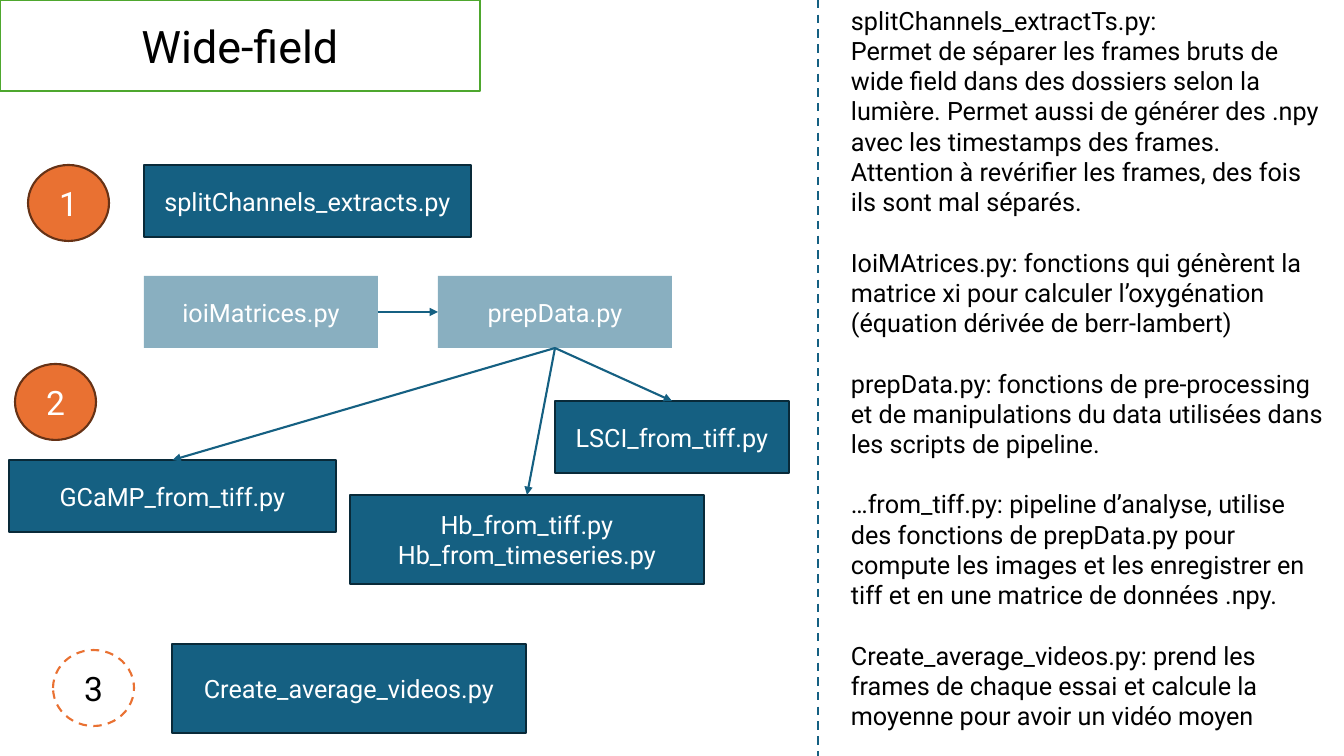
from lxml.etree import SubElement
from pptx import Presentation
from pptx.dml.color import RGBColor
from pptx.enum.dml import MSO_LINE
from pptx.enum.shapes import MSO_CONNECTOR, MSO_SHAPE
from pptx.enum.text import MSO_ANCHOR, PP_ALIGN
from pptx.oxml.ns import qn
from pptx.util import Pt

PX = 914400 / 100.8
SLIDE_W, SLIDE_H = 1344, 756
FONT = "Roboto"
COLORS = {
    "blue": "156082", "navy": "092A39", "orange": "E97132", "brown": "663216",
    "green": "4EA72E", "white": "FFFFFF", "black": "000000",
}

TITLE = ("Wide-field", (0, 0, 480, 91))

# text, (left, top, width, height)
MODULES = [
    ("prepData.py", (438, 276, 234, 72)),
    ("ioiMatrices.py", (144, 276, 234, 72)),
]
SCRIPTS = [
    ("LSCI_from_tiff.py", (555, 401, 234, 72)),
    ("Hb_from_tiff.py\nHb_from_timeseries.py", (350, 495, 354, 89)),
    ("GCaMP_from_tiff.py", (9, 460, 327, 72)),
    ("splitChannels_extracts.py", (144, 165, 327, 72)),
    ("Create_average_videos.py", (172, 644, 354, 89)),
]

TOP, LEFT, BOTTOM, RIGHT = range(4)
ARROWS = [
    ("ioiMatrices.py", RIGHT, "prepData.py", LEFT),
    ("prepData.py", BOTTOM, "GCaMP_from_tiff.py", TOP),
    ("prepData.py", BOTTOM, "Hb_from_tiff.py\nHb_from_timeseries.py", TOP),
    ("prepData.py", BOTTOM, "LSCI_from_tiff.py", TOP),
]

STEP_SIZE = (81, 76)
# number, (left, top), fill, outline, text colour, dashed
STEPS = [
    ("1", (28, 165), "orange", "brown", "white", False),
    ("2", (15, 364), "orange", "brown", "white", False),
    ("3", (53, 650), "white", "orange", "black", True),
]

DIVIDER_X = 818
NOTES_BOX = (841, 0, 493, 743)
NOTES_GAP = Pt(21.6)
# each group is set apart from the one before by one line
NOTES = [
    ["splitChannels_extractTs.py:",
     "Permet de séparer les frames bruts de wide field dans des dossiers selon la "
     "lumière. Permet aussi de générer des .npy avec les timestamps des frames. "
     "Attention à revérifier les frames, des fois ils sont mal séparés."],
    ["IoiMAtrices.py: fonctions qui génèrent la matrice xi pour calculer "
     "l’oxygénation (équation dérivée de berr-lambert)"],
    ["prepData.py: fonctions de pre-processing et de manipulations du data "
     "utilisées dans les scripts de pipeline."],
    ["…from_tiff.py: pipeline d’analyse, utilise des fonctions de prepData.py pour "
     "compute les images et les enregistrer en tiff et en une matrice de données .npy."],
    ["Create_average_videos.py: prend les frames de chaque essai et calcule la "
     "moyenne pour avoir un vidéo moyen"],
]


def emu(*lengths):
    return [round(length * PX) for length in lengths]


def rgb(name):
    return RGBColor.from_string(COLORS[name])


def style_text(frame, size, color, align):
    for paragraph in frame.paragraphs:
        paragraph.alignment = align
        for run in paragraph.runs:
            run.font.name = FONT
            run.font.size = Pt(size)
            run.font.color.rgb = rgb(color)


def style_line(line, color, dashed=False):
    line.color.rgb = rgb(color)
    line.width = Pt(1.5)
    if dashed:
        line.dash_style = MSO_LINE.DASH


def add_box(slide, text, box, fill, outline=None, color="white", size=18,
            preset=MSO_SHAPE.RECTANGLE, dashed=False):
    shape = slide.shapes.add_shape(preset, *emu(*box))
    shape.shadow.inherit = False
    shape.fill.solid()
    shape.fill.fore_color.rgb = rgb(fill)
    if outline:
        style_line(shape.line, outline, dashed)
    else:
        shape.line.fill.background()
    frame = shape.text_frame
    frame.word_wrap = True
    frame.vertical_anchor = MSO_ANCHOR.MIDDLE
    frame.text = text
    style_text(frame, size, color, PP_ALIGN.CENTER)
    return shape


def make_half_transparent(shape):
    fill_color = shape.fill._xPr.find(qn("a:solidFill"))[0]
    SubElement(fill_color, qn("a:alpha"), val="50000")


def add_line(slide, start=(0, 0), end=(0, 0), dashed=False):
    line = slide.shapes.add_connector(MSO_CONNECTOR.STRAIGHT, *emu(*start, *end))
    style_line(line.line, "blue", dashed)
    SubElement(line._element.spPr, qn("a:effectLst"))
    return line


def add_arrow(slide, source, source_side, target, target_side):
    arrow = add_line(slide)
    arrow.begin_connect(source, source_side)
    arrow.end_connect(target, target_side)
    SubElement(arrow.line._get_or_add_ln(), qn("a:tailEnd"), type="triangle")


def add_notes(slide):
    frame = slide.shapes.add_textbox(*emu(*NOTES_BOX)).text_frame
    frame.word_wrap = True
    frame.text = "\n".join(line for group in NOTES for line in group)
    style_text(frame, 18, "black", PP_ALIGN.LEFT)
    first = 0
    for group in NOTES:
        if first:
            frame.paragraphs[first].space_before = NOTES_GAP
        first += len(group)


def main():
    prs = Presentation()
    prs.slide_width, prs.slide_height = emu(SLIDE_W, SLIDE_H)
    slide = prs.slides.add_slide(prs.slide_layouts[6])

    boxes = {}
    for text, box in MODULES:
        boxes[text] = add_box(slide, text, box, "blue")
        make_half_transparent(boxes[text])
    for text, box in SCRIPTS:
        boxes[text] = add_box(slide, text, box, "blue", "navy")

    for source, source_side, target, target_side in ARROWS:
        add_arrow(slide, boxes[source], source_side, boxes[target], target_side)

    add_line(slide, (DIVIDER_X, 0), (DIVIDER_X, SLIDE_H), dashed=True)
    add_notes(slide)

    for number, corner, fill, outline, color, dashed in STEPS:
        add_box(slide, number, corner + STEP_SIZE, fill, outline, color, 24,
                MSO_SHAPE.OVAL, dashed)
    add_box(slide, *TITLE, "white", "green", "black", 32)

    prs.save("out.pptx")


if __name__ == "__main__":
    main()
